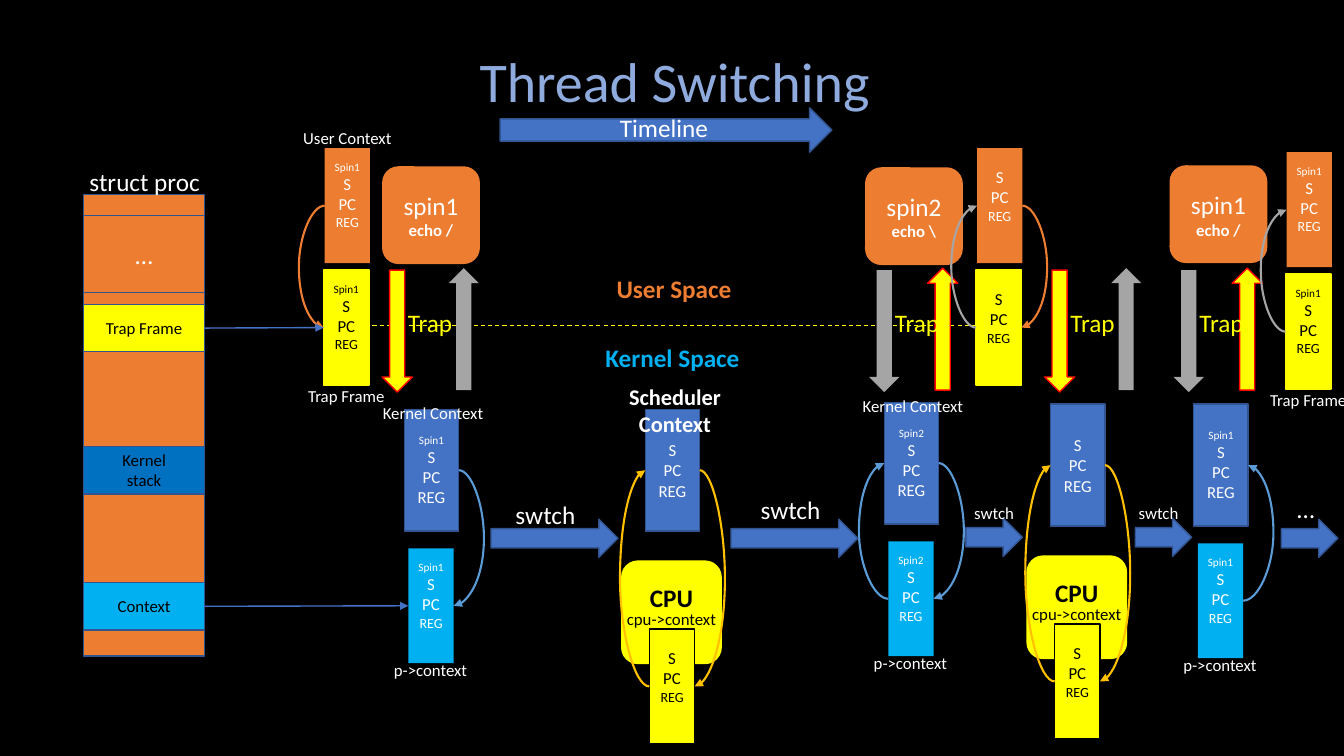
from lxml import etree
from pptx import Presentation
from pptx import util as u
from pptx.dml.color import RGBColor
from pptx.enum import dml, shapes, text
from pptx.oxml.ns import qn

FONT = "Calibri"
WHITE, BLACK, YELLOW, RED = "FFFFFF", "000000", "FFFF00", "FF0000"
ORANGE, BLUE, NAVY, CYAN = "ED7D31", "4472C4", "325491", "00B0F0"
GREY, GOLD, SKY, STACK_BLUE = "A5A5A5", "FFC000", "5B9BD5", "0070C0"
PRESET = shapes.MSO_SHAPE
LEFT, RIGHT = 1, 3  # connection sites of a rectangle
BULGE = 0.25


def color(value):
    return RGBColor.from_string(value)


def write(frame, lines, ink, align=text.PP_ALIGN.CENTER):
    """Fill a text frame with (words, size, bold) lines."""
    for index, (words, size, bold) in enumerate(lines):
        para = frame.add_paragraph() if index else frame.paragraphs[0]
        para.alignment = align
        span = para.add_run()
        span.text = words
        span.font.name, span.font.size, span.font.bold = FONT, u.Pt(size), bold
        span.font.color.rgb = color(ink)


def label(page, left, top, width, height, lines, ink=WHITE, wrap=False):
    box = page.shapes.add_textbox(*map(u.Inches, (left, top, width, height)))
    box.text_frame.word_wrap = wrap
    box.text_frame.auto_size = text.MSO_AUTO_SIZE.SHAPE_TO_FIT_TEXT
    write(box.text_frame, lines, ink)


def small_label(page, left, top, width, words, ink=WHITE):
    label(page, left, top, width, 0.3, [(words, 12, False)], ink)


def large_label(page, left, top, width, words, ink=WHITE, bold=False):
    label(page, left, top, width, 0.4, [(words, 18, bold)], ink)


def block(page, kind, left, top, width, height, fill, edge=None,
          lines=(), ink=WHITE, bottom=0.05):
    box = page.shapes.add_shape(kind, *map(u.Inches, (left, top, width, height)))
    box.shadow.inherit = False
    box.fill.solid()
    box.fill.fore_color.rgb = color(fill)
    if edge:
        box.line.color.rgb = color(edge)
        box.line.width = u.Pt(1)
    else:
        box.line.fill.background()
    frame = box.text_frame
    frame.word_wrap = True
    frame.vertical_anchor = text.MSO_ANCHOR.MIDDLE
    frame.margin_left = frame.margin_right = u.Inches(0.05)
    frame.margin_bottom = u.Inches(bottom)
    write(frame, lines, ink)
    return box


def style_line(line, ink, width, arrow=True):
    line.line.color.rgb = color(ink)
    line.line.width = u.Pt(width)
    properties = line._element.spPr
    if arrow:
        etree.SubElement(properties.find(qn("a:ln")), qn("a:tailEnd"), type="triangle")
    etree.SubElement(properties, qn("a:effectLst"))


def pointer(page, source, target):
    line = page.shapes.add_connector(shapes.MSO_CONNECTOR.STRAIGHT, 0, 0, 0, 0)
    line.begin_connect(source, RIGHT)
    line.end_connect(target, LEFT)
    style_line(line, BLUE, 1)


def loop(page, source, target, side, ink):
    """Curved arrow that leaves and enters on the same side."""
    line = page.shapes.add_connector(shapes.MSO_CONNECTOR.CURVE, 0, 0, 0, 0)
    line.begin_connect(source, side)
    line.end_connect(target, side)
    start, end = line.begin_x, line.end_x
    edge = max(start, end) if side == RIGHT else min(start, end)
    bend = edge + u.Inches(BULGE if side == RIGHT else -BULGE)
    ratio = round((bend - start) / (end - start) * 100000)
    properties = line._element.spPr
    guides = properties.find(qn("a:prstGeom")).find(qn("a:avLst"))
    etree.SubElement(guides, qn("a:gd"), name="adj1", fmla=f"val {ratio}")
    if side == LEFT:
        frame = properties.find(qn("a:xfrm"))
        frame.set("rot", "10800000")
        for flip in ("flipH", "flipV"):
            frame.set(flip, "0" if frame.get(flip) == "1" else "1")
    style_line(line, ink, 1.5)


def registers(page, left, top, fill, owner=None, edge=None, ink=WHITE, tall=False):
    lines = [(owner, 8, False)] if owner else []
    lines += [("S", 12, False), ("PC", 12, False), ("REG", 12 if tall else 10, False)]
    width, height, bottom = (0.54, 1.21, 0.05) if tall else (0.45, 1.14, 0.25)
    return block(page, PRESET.RECTANGLE, left, top, width, height, fill, edge,
                 lines, ink, bottom)


def struct_proc(page, left, top):
    """Returns the trap frame and context fields."""
    width = 1.2
    block(page, PRESET.RECTANGLE, left, top, width, 4.58, ORANGE, NAVY)
    large_label(page, left - 0.05, top - 0.33, 1.31, "struct proc")
    fields = [(0.21, 0.76, ORANGE, WHITE, 18, ["…"]),
              (1.09, 0.47, YELLOW, BLACK, 12, ["Trap Frame"]),
              (2.5, 0.47, STACK_BLUE, BLACK, 12, ["Kernel", "stack"]),
              (3.85, 0.47, CYAN, BLACK, 12, ["Context"])]
    boxes = [block(page, PRESET.RECTANGLE, left, top + down, width, height, fill, NAVY,
                   [(words, size, False) for words in rows], ink)
             for down, height, fill, ink, size, rows in fields]
    return boxes[1], boxes[3]


def program(page, left, top, name, command):
    block(page, PRESET.ROUNDED_RECTANGLE, left, top, 0.97, 0.97, ORANGE,
          lines=[(name, 18, False), (command, 12, True)])


def trap(page, left, top, entering):
    """Pair of arrows; the yellow one shows the direction taken."""
    down, up = ((YELLOW, RED), (GREY, None)) if entering else ((GREY, None), (YELLOW, RED))
    gap = 0.66 if entering else 0.58
    block(page, PRESET.DOWN_ARROW, left, top, 0.3, 1.21, *down)
    block(page, PRESET.UP_ARROW, left + gap, top - 0.02, 0.3, 1.21, *up)
    large_label(page, left + 0.15, top + 0.32, 0.65, "Trap", YELLOW)


def user_state(page, left, top, owner=None, restore=False, save=None, named=False):
    """User registers above their trap frame; returns the trap frame."""
    user = registers(page, left + 0.01, top, ORANGE, owner)
    saved = registers(page, left, top + 1.21, YELLOW, owner, YELLOW, BLACK)
    if named:
        small_label(page, left - 0.26, top + 2.31, 0.97, "Trap Frame")
    if restore:
        loop(page, saved, user, LEFT, GREY)
    if save:
        loop(page, user, saved, save, ORANGE)
    return saved


def kernel_thread(page, left, top, owner, restore=None, save=False, named=True):
    """Kernel registers above the saved context; returns the saved context."""
    kernel = registers(page, left, top, BLUE, owner, NAVY, tall=True)
    saved = registers(page, left + 0.04, top + 1.38, CYAN, owner)
    if named:
        small_label(page, left - 0.32, top - 0.11, 1.21, "Kernel Context")
    small_label(page, left - 0.21, top + 2.44, 0.94, "p->context")
    if restore:
        loop(page, saved, kernel, restore, SKY)
    if save:
        loop(page, kernel, saved, RIGHT, SKY)
    return saved


def scheduler(page, left, top):
    block(page, PRESET.ROUNDED_RECTANGLE, left - 0.24, top + 1.5, 1, 1.03, YELLOW,
          lines=[("CPU", 18, True)], ink=BLACK, bottom=0.35)
    running = registers(page, left, top, BLUE, edge=NAVY, tall=True)
    saved = registers(page, left + 0.04, top + 2.18, YELLOW, edge=BLACK, ink=BLACK)
    small_label(page, left - 0.29, top + 1.93, 1.1, "cpu->context", BLACK)
    loop(page, saved, running, LEFT, GOLD)
    loop(page, running, saved, RIGHT, GOLD)


def space_border(page):
    line = page.shapes.add_connector(shapes.MSO_CONNECTOR.STRAIGHT,
                                     *map(u.Inches, (3.55, 3.23, 9.98, 3.23)))
    style_line(line, YELLOW, 0.75, arrow=False)
    line.line.dash_style = dml.MSO_LINE.DASH
    large_label(page, 6.01, 2.66, 1.35, "User Space", ORANGE, True)
    large_label(page, 5.9, 3.35, 1.54, "Kernel Space", CYAN, True)


def main():
    deck = Presentation()
    deck.slide_width, deck.slide_height = u.Inches(13.33), u.Inches(7.5)
    page = deck.slides.add_slide(deck.slide_layouts[6])
    page.background.fill.solid()
    page.background.fill.fore_color.rgb = color(BLACK)

    label(page, 2.07, 0.41, 9.24, 0.77, [("Thread Switching", 40, False)], "8FAADC", True)
    space_border(page)
    for left, top, name, command in [(3.79, 1.65, "spin1", "echo /"),
                                     (8.58, 1.66, "spin2", "echo \\"),
                                     (11.6, 1.64, "spin1", "echo /")]:
        program(page, left, top, name, command)
    for left, entering in [(3.79, True), (8.62, False), (10.36, True), (11.64, False)]:
        trap(page, left, 2.68, entering)

    trap_field, context_field = struct_proc(page, 0.83, 1.93)
    small_label(page, 2.9, 1.22, 1.09, "User Context")
    trap_frame = user_state(page, 3.21, 1.47, "Spin1", save=LEFT, named=True)
    user_state(page, 9.68, 1.47, restore=True, save=RIGHT)
    user_state(page, 12.75, 1.51, "Spin1", restore=True, named=True)
    context = kernel_thread(page, 4.01, 4.06, "Spin1", save=True)
    kernel_thread(page, 8.77, 3.99, "Spin2", restore=LEFT, save=True)
    kernel_thread(page, 11.84, 4.01, "Spin1", restore=RIGHT, named=False)
    pointer(page, trap_field, trap_frame)
    pointer(page, context_field, context)
    scheduler(page, 6.4, 4.06)
    scheduler(page, 10.42, 4.01)
    label(page, 6.13, 3.75, 1.13, 0.64, [("Scheduler", 16, True), ("Context", 16, True)])

    for left, top, width, height in [(4.96, 1.07, 3.29, 0.44), (4.87, 5.15, 1.26, 0.38),
                                     (7.25, 5.15, 1.26, 0.38), (9.58, 5.14, 0.56, 0.38),
                                     (11.26, 5.14, 0.56, 0.38), (12.71, 5.15, 0.56, 0.38)]:
        block(page, PRESET.RIGHT_ARROW, left, top, width, height, BLUE, NAVY)
    large_label(page, 6.04, 1.07, 1.09, "Timeline")
    large_label(page, 5.01, 4.9, 0.8, "swtch")
    large_label(page, 7.44, 4.86, 0.8, "swtch")
    small_label(page, 9.56, 4.94, 0.6, "swtch")
    small_label(page, 11.19, 4.94, 0.6, "swtch")
    large_label(page, 12.76, 4.84, 0.38, "…")
    deck.save("out.pptx")


if __name__ == "__main__":
    main()
